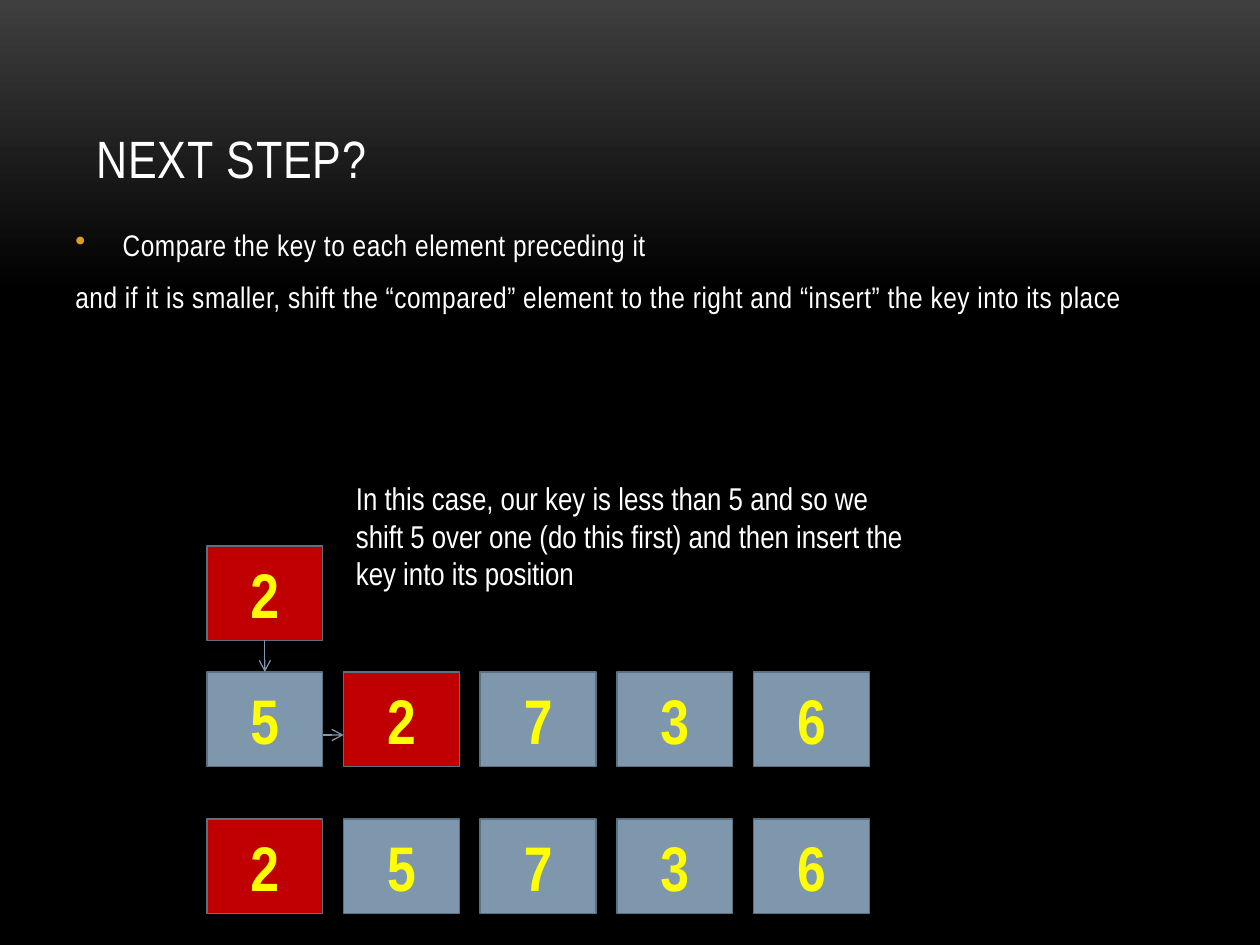
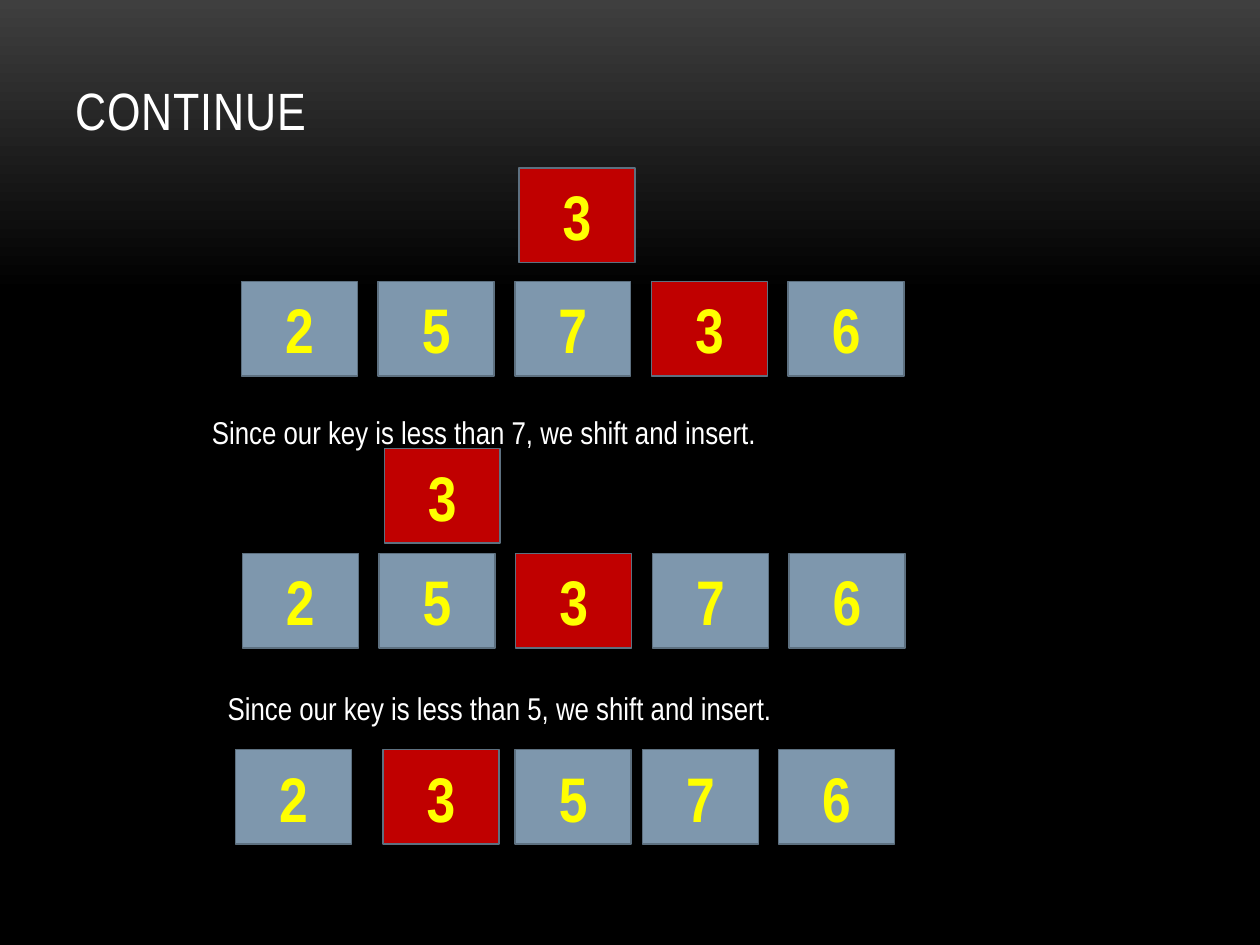
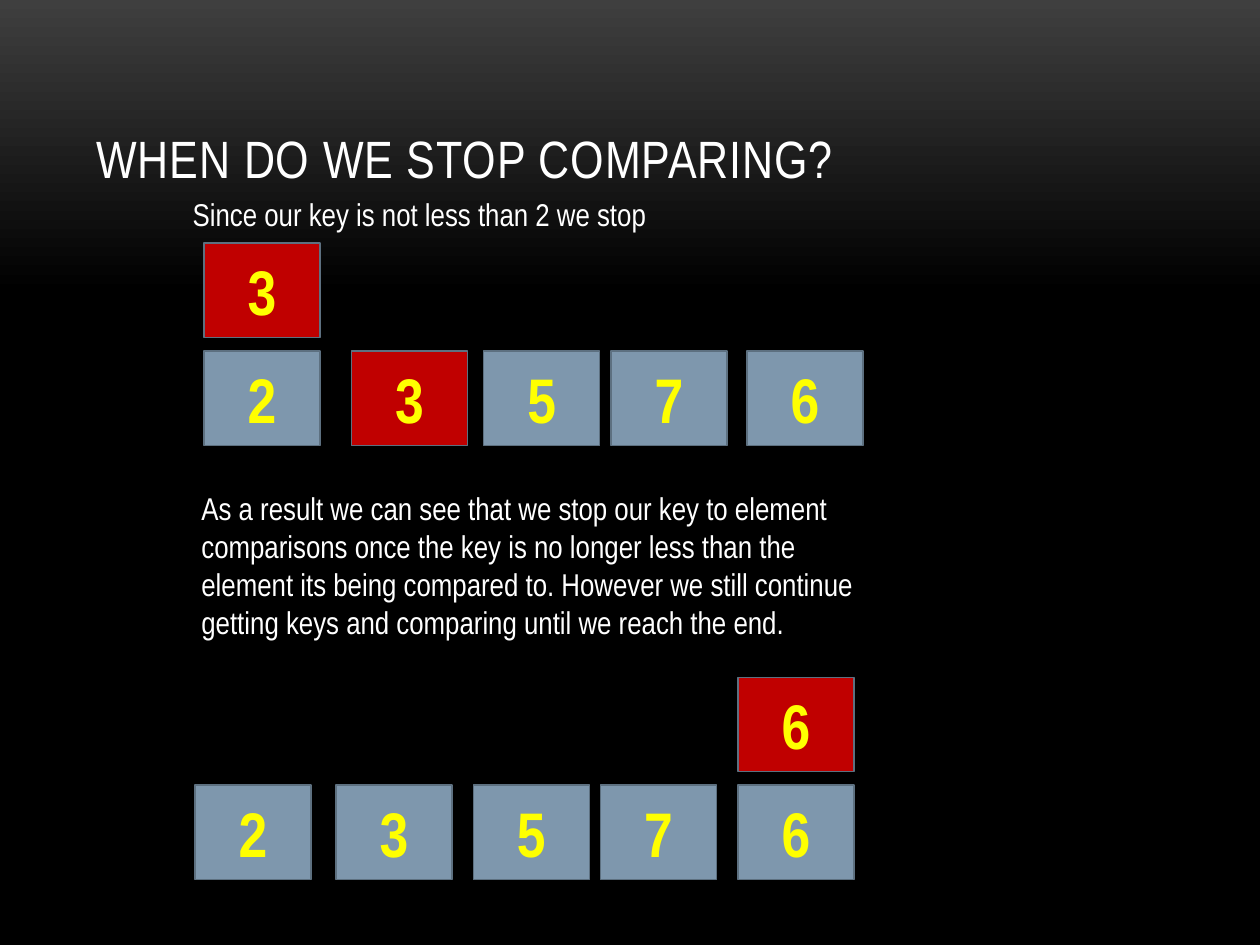
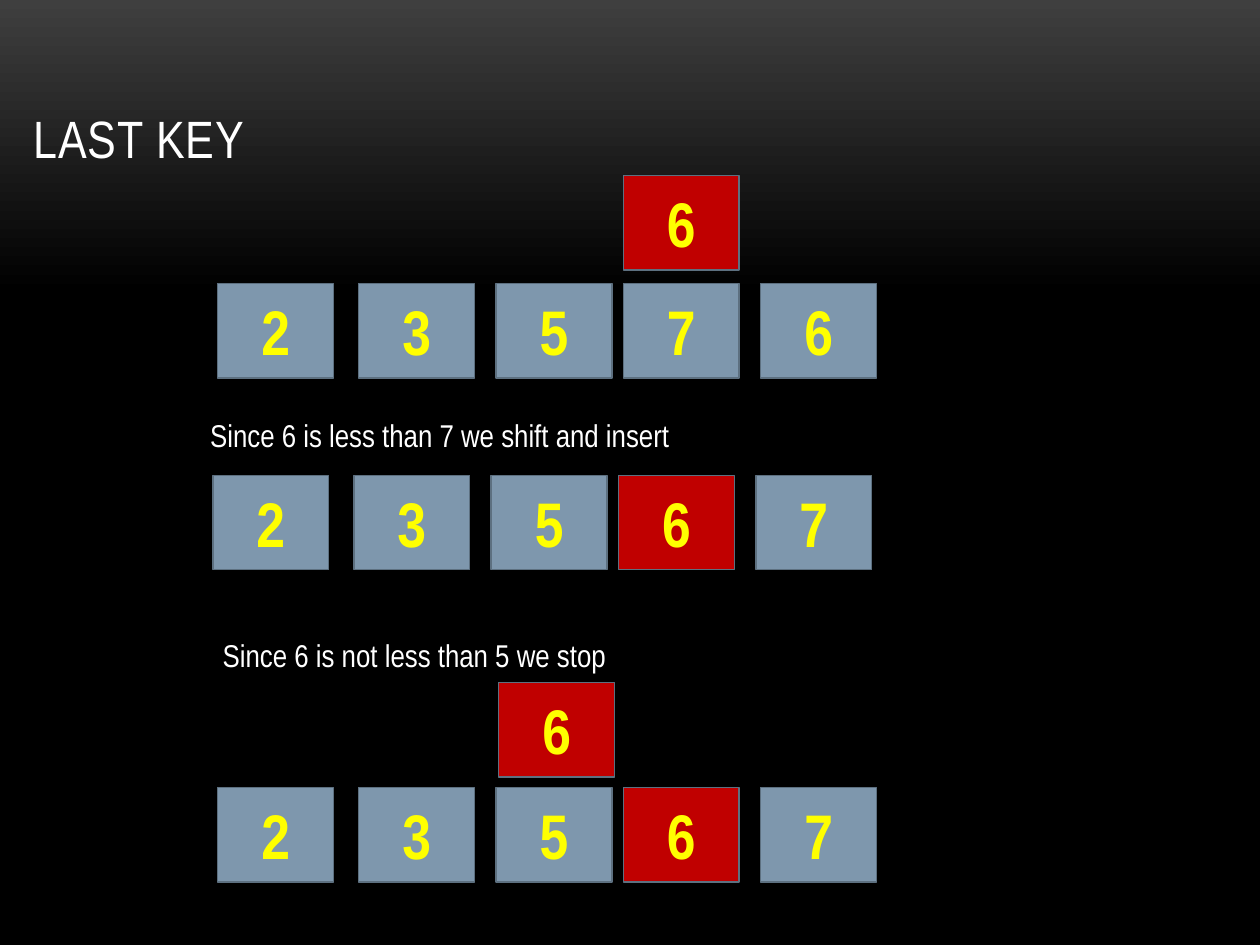
from lxml.etree import SubElement
from pptx import Presentation
from pptx.dml.color import RGBColor
from pptx.enum.shapes import MSO_CONNECTOR, MSO_SHAPE
from pptx.enum.text import MSO_ANCHOR, MSO_AUTO_SIZE, PP_ALIGN
from pptx.oxml.ns import qn
from pptx.util import Pt

COLORS = {
    "glow": "3F3F3F",
    "night": "000000",
    "text": "FFFFFF",
    "bullet": "DC9E1F",
    "element": "7E97AD",
    "key": "C00000",
    "border": "5D7080",
    "digit": "FFFF00",
}
FONT = "Arial Narrow"
CELL_WIDTH, CELL_HEIGHT = 66.24, 54
HANGING = 27
EVEN = [78.1 * place for place in range(5)]
LOOSE = [0, 84.2, 159.8, 232.6, 310.3]
TIGHT = [0, 80.6, 159.1, 231.8, 310.3]


def rgb(name):
    return RGBColor.from_string(COLORS[name])


def add_bullet(paragraph):
    properties = paragraph._p.get_or_add_pPr()
    properties.set("marL", str(Pt(HANGING)))
    properties.set("indent", str(-Pt(HANGING)))
    tint = SubElement(properties, qn("a:buClr"))
    SubElement(tint, qn("a:srgbClr")).set("val", COLORS["bullet"])
    SubElement(properties, qn("a:buChar")).set("char", "•")


def write(frame, *lines, size=18, color="text", bold=False, align=PP_ALIGN.LEFT,
          anchor=MSO_ANCHOR.TOP, tracking=0, before=0, after=0, bulleted=(), grow=False):
    frame.word_wrap = True
    frame.vertical_anchor = anchor
    frame.auto_size = MSO_AUTO_SIZE.SHAPE_TO_FIT_TEXT if grow else MSO_AUTO_SIZE.NONE
    for number, line in enumerate(lines):
        paragraph = frame.add_paragraph() if number else frame.paragraphs[0]
        paragraph.alignment = align
        paragraph.space_before, paragraph.space_after = Pt(before), Pt(after)
        if number in bulleted:
            add_bullet(paragraph)
        run = paragraph.add_run()
        run.text = line
        run.font.name, run.font.size, run.font.bold = FONT, Pt(size), bold
        run.font.color.rgb = rgb(color)
        if tracking:
            run._r.get_or_add_rPr().set("spc", str(round(tracking * 100)))


def add_text(slide, left, top, width, height, *lines, **style):
    box = slide.shapes.add_textbox(Pt(left), Pt(top), Pt(width), Pt(height))
    write(box.text_frame, *lines, **style)


def add_title(slide, words, left=48, top=21.6, width=624, height=90):
    add_text(slide, left, top, width, height, words,
             size=30, tracking=0.5, anchor=MSO_ANCHOR.BOTTOM)


def add_remark(slide, words, left, top, width=408, height=29):
    add_text(slide, left, top, width, height, words, grow=True)


def add_cell(slide, digit, left, top, fill="element"):
    cell = slide.shapes.add_shape(MSO_SHAPE.RECTANGLE, Pt(left), Pt(top),
                                  Pt(CELL_WIDTH), Pt(CELL_HEIGHT))
    cell.shadow.inherit = False
    cell.fill.solid()
    cell.fill.fore_color.rgb = rgb(fill)
    cell.line.color.rgb = rgb("border")
    cell.line.width = Pt(0.85)
    write(cell.text_frame, digit, size=36, color="digit", bold=True,
          align=PP_ALIGN.CENTER, anchor=MSO_ANCHOR.MIDDLE)


def add_key(slide, digit, left, top):
    add_cell(slide, digit, left, top, fill="key")


def add_array(slide, digits, left, top, offsets=EVEN, key=None):
    for place, (digit, offset) in enumerate(zip(digits, offsets)):
        add_cell(slide, digit, left + offset, top, "key" if place == key else "element")


def add_arrow(slide, x1, y1, x2, y2):
    arrow = slide.shapes.add_connector(MSO_CONNECTOR.STRAIGHT, Pt(x1), Pt(y1), Pt(x2), Pt(y2))
    arrow.line.color.rgb = rgb("element")
    arrow.line.width = Pt(0.75)
    SubElement(arrow.line._get_or_add_ln(), qn("a:tailEnd")).set("type", "arrow")
    SubElement(arrow._element.spPr, qn("a:effectLst"))


def paint_background(master):
    fill = master.background.fill
    fill.gradient()
    fill.gradient_angle = 270
    for stop, position, name in zip(fill.gradient_stops, (0, 0.31), ("glow", "night")):
        stop.position = position
        stop.color.rgb = rgb(name)


def build_next_step(slide):
    left, top = 118.2, 384
    add_title(slide, "NEXT STEP?")
    add_text(slide, 36, 126, 648, 138,
             "Compare the key to each element preceding it",
             "and if it is smaller, shift the “compared” element to the right "
             "and “insert” the key into its place",
             size=17, tracking=0.3, before=3.4, after=6, bulleted=(0,))
    add_array(slide, "52736", left, top, key=1)
    add_key(slide, "2", left, 312)
    add_remark(slide, "In this case, our key is less than 5 and so we shift 5 over one "
               "(do this first) and then insert the key into its position",
               196.3, 270, 332, 72.7)
    add_arrow(slide, left + CELL_WIDTH, 420, left + EVEN[1], 420)
    add_arrow(slide, left + CELL_WIDTH / 2, 312 + CELL_HEIGHT, left + CELL_WIDTH / 2, top)
    add_array(slide, "25736", left, 468, key=0)


def build_continue(slide):
    add_title(slide, "CONTINUE", 36, 8, 648, 76)
    add_array(slide, "25736", 138, 160.8, key=3)
    add_remark(slide, "Since our key is less than 7, we shift and insert.", 114, 232.6)
    add_array(slide, "25376", 138.5, 316.2, key=2)
    add_key(slide, "3", 296.6, 96)
    add_key(slide, "3", 219.6, 256.3)
    add_remark(slide, "Since our key is less than 5, we shift and insert.", 123, 390)
    add_array(slide, "23576", 134.6, 428.4, LOOSE, key=1)


def build_stop_comparing(slide):
    add_title(slide, "WHEN DO WE STOP COMPARING?")
    add_remark(slide, "Since our key is not less than 2 we stop", 103, 108)
    add_array(slide, "23576", 116.6, 200.6, LOOSE, key=1)
    add_key(slide, "3", 116.6, 138.8)
    add_remark(slide, "As a result we can see that we stop our key to element comparisons "
               "once the key is no longer less than the element its being compared to. "
               "However we still continue getting keys and comparing until we reach the end.",
               108, 276, height=116.6)
    add_array(slide, "23576", 111.4, 448.6, TIGHT)
    add_key(slide, "6", 111.4 + TIGHT[4], 387)


def build_last_key(slide):
    left = 124.4
    add_title(slide, "LAST KEY", 12, 10, 648)
    add_array(slide, "23576", left, 162, TIGHT)
    add_key(slide, "6", left + TIGHT[3], 100.2)
    add_remark(slide, "Since 6 is less than 7 we shift and insert", 113, 234)
    add_array(slide, "23567", 121.6, 271.6, TIGHT, key=3)
    add_remark(slide, "Since 6 is not less than 5 we stop", 120.2, 360)
    add_array(slide, "23567", left, 450, TIGHT, key=3)
    add_key(slide, "6", 285, 390)


def main():
    deck = Presentation()
    deck.slide_width, deck.slide_height = Pt(720), Pt(540)
    paint_background(deck.slide_master)
    blank = deck.slide_layouts[6]
    for build in (build_next_step, build_continue, build_stop_comparing, build_last_key):
        build(deck.slides.add_slide(blank))
    deck.save("out.pptx")


main()
